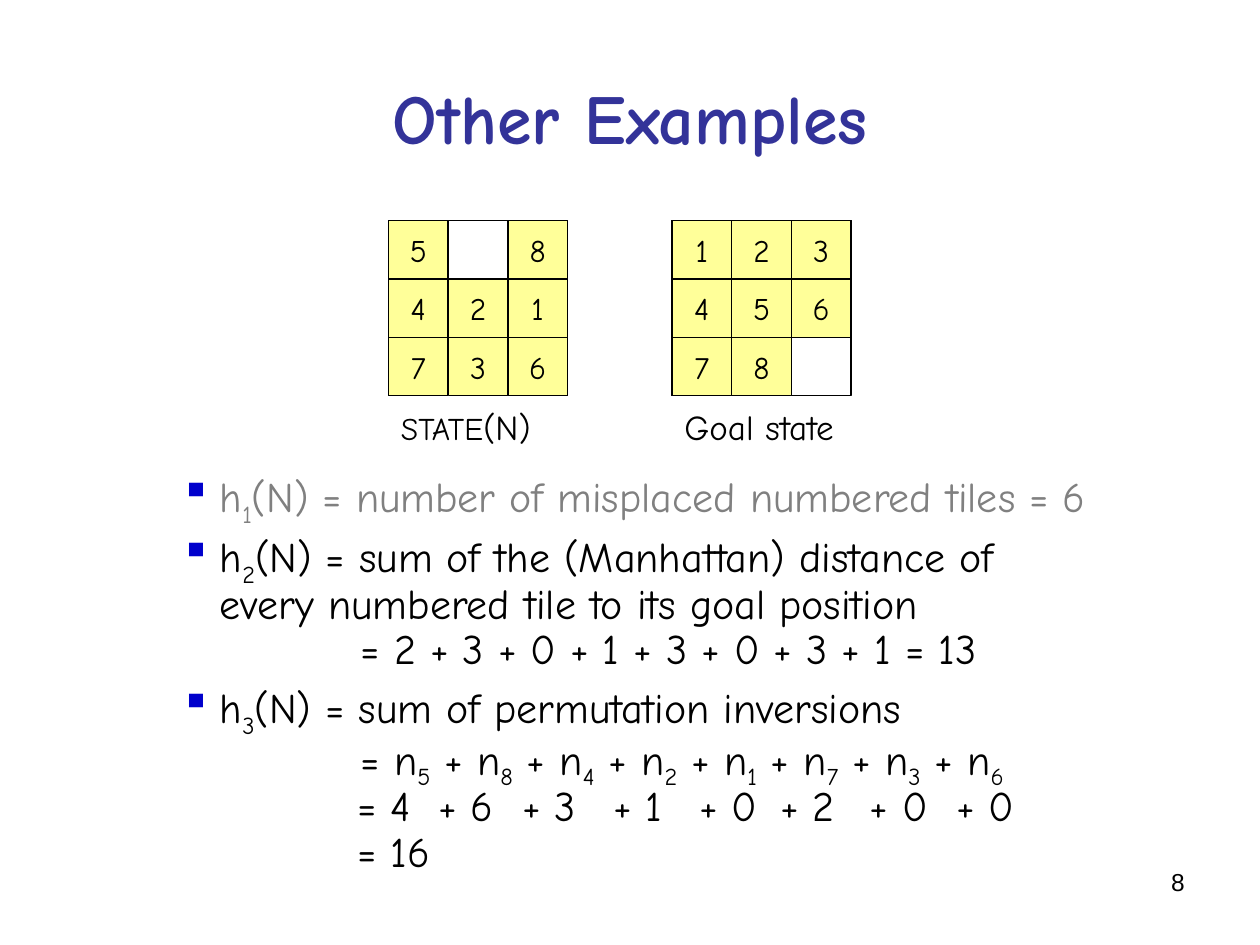
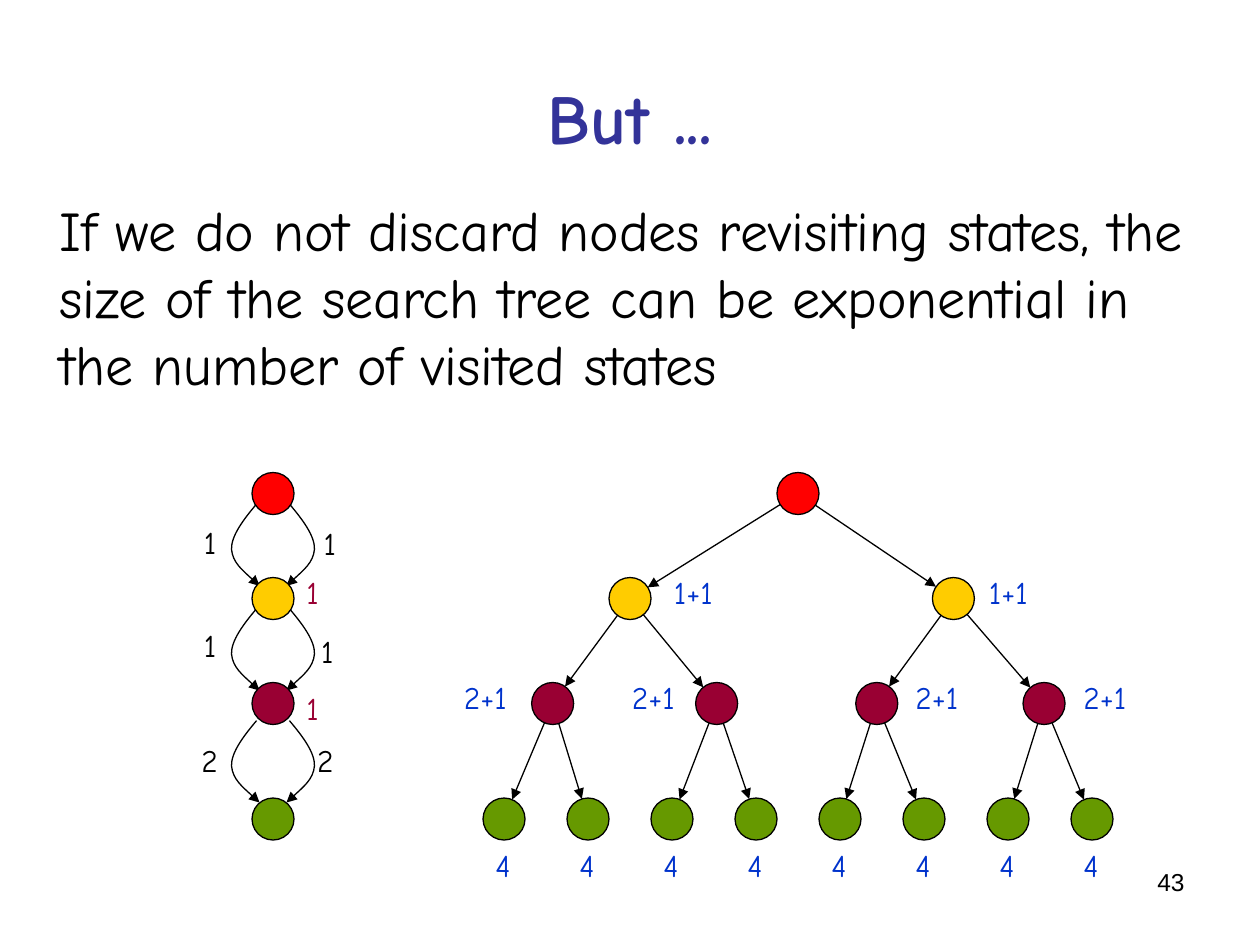
import math

import pptx
import pptx.dml.color
import pptx.enum.shapes
import pptx.enum.text
import pptx.oxml.ns
import pptx.oxml.xmlchemy
import pptx.util
from lxml import etree

Pt = pptx.util.Pt
qn = pptx.oxml.ns.qn
SHAPE = pptx.enum.shapes.MSO_SHAPE
ALIGN = pptx.enum.text.PP_ALIGN
MIDDLE = pptx.enum.text.MSO_ANCHOR.MIDDLE

COLOURS = {
    "title": "333399", "text": "000000", "faded": "808080", "bullet": "0000CC",
    "tile": "FFFF99", "count": "0033CC", "red": "FF0000", "yellow": "FFCC00",
    "maroon": "990033", "green": "669900",
}
FONT = "Comic Neue"


def add_span(para, text, size, colour="text", font=FONT):
    span = para.add_run()
    span.text = text
    span.font.name = font
    span.font.size = Pt(size)
    span.font.color.rgb = pptx.dml.color.RGBColor.from_string(COLOURS[colour])
    return span


def style_shape(shape, fill=None, arrow=False):
    """Give a shape or connector a thin black line and no shadow."""
    shape.line.width = Pt(0.75)
    shape.line.color.rgb = pptx.dml.color.RGBColor.from_string(COLOURS["text"])
    if arrow:
        etree.SubElement(shape.line._get_or_add_ln(), qn("a:tailEnd"), type="triangle")
    if hasattr(shape, "shadow"):
        shape.shadow.inherit = False
    else:
        etree.SubElement(shape._element.spPr, qn("a:effectLst"))
    if fill:
        shape.fill.solid()
        shape.fill.fore_color.rgb = pptx.dml.color.RGBColor.from_string(COLOURS[fill])
    elif hasattr(shape, "fill"):
        shape.fill.background()


deck = pptx.Presentation()
deck.slide_width, deck.slide_height = Pt(720), Pt(540)

# Title and page number of both slides
pages = []
for title_text, number in (("Other Examples", "8"), ("But ...", "43")):
    page = deck.slides.add_slide(deck.slide_layouts[5])
    title = page.shapes.title
    title.left, title.top, title.width, title.height = Pt(36), Pt(21.6), Pt(648), Pt(90)
    title.text_frame.vertical_anchor = MIDDLE
    para = title.text_frame.paragraphs[0]
    para.alignment = ALIGN.CENTER
    add_span(para, title_text, 40, "title").font.bold = True
    box = page.shapes.add_textbox(Pt(516), Pt(492), Pt(168), Pt(37.4))
    box.text_frame.word_wrap = True
    para = box.text_frame.paragraphs[0]
    para.alignment = ALIGN.RIGHT
    add_span(para, number, 14, font="Arial")
    pages.append(page)
puzzle_page, tree_page = pages

# Two 8-puzzle boards with captions
tile_width, tile_height, board_top = 34.1, 33.4, 126
boards = (
    (222, "5 8421736", (("STATE", 18), ("(N)", 20)), 106.6),
    (384, "12345678 ", (("Goal state", 20),), 110.2),
)
for board_left, tiles, caption, caption_width in boards:
    frame = puzzle_page.shapes.add_shape(
        SHAPE.RECTANGLE, Pt(board_left), Pt(board_top), Pt(3 * tile_width), Pt(3 * tile_height))
    style_shape(frame)
    for index, digit in enumerate(tiles):
        if digit == " ":
            continue
        row, column = divmod(index, 3)
        tile = puzzle_page.shapes.add_shape(
            SHAPE.RECTANGLE, Pt(board_left + column * tile_width),
            Pt(board_top + row * tile_height), Pt(tile_width), Pt(tile_height))
        style_shape(tile, "tile")
        tile.text_frame.word_wrap = False
        tile.text_frame.vertical_anchor = MIDDLE
        para = tile.text_frame.paragraphs[0]
        para.alignment = ALIGN.CENTER
        add_span(para, digit, 18)
    box = puzzle_page.shapes.add_textbox(Pt(board_left), Pt(228.2), Pt(caption_width), Pt(31))
    for text, size in caption:
        add_span(box.text_frame.paragraphs[0], text, size)

# Heuristics: an underscore lowers the next character, tabs go to the sum columns
sum_columns = (137, 183.3, 231.3, 283.3, 332.4, 378.7, 430, 479.3)
heuristics = (
    ("bullet", "faded", "h_1(N) = number of misplaced numbered tiles = 6"),
    ("bullet", "text", "h_2(N) = sum of the (Manhattan) distance of\vevery numbered tile to its goal position"),
    ("sum", "text", "= 2 + 3 + 0 + 1 + 3 + 0 + 3 + 1 = 13"),
    ("bullet", "text", "h_3(N) = sum of permutation inversions"),
    ("sum", "text", "= n_5 + n_8 + n_4 + n_2 + n_1 + n_7 + n_3 + n_6"),
    ("columns", "text", "\t= 4\t+ 6\t+ 3\t+ 1\t+ 0\t+ 2\t+ 0\t+ 0"),
    ("columns", "text", "\t= 16"),
)
box = puzzle_page.shapes.add_textbox(Pt(60), Pt(266), Pt(612), Pt(232))
box.text_frame.word_wrap = True
for index, (kind, colour, text) in enumerate(heuristics):
    para = box.text_frame.paragraphs[0] if index == 0 else box.text_frame.add_paragraph()
    para.line_spacing = 0.9
    para.space_before = Pt(4.8 if kind == "bullet" else 0)
    properties = para._p.get_or_add_pPr()
    if kind == "bullet":
        properties.set("marL", str(Pt(58.5)))
        properties.set("indent", str(Pt(-22.5)))
        bullet_colour = etree.SubElement(properties, qn("a:buClr"))
        etree.SubElement(bullet_colour, qn("a:srgbClr"), val=COLOURS["bullet"])
        etree.SubElement(properties, qn("a:buChar"), char="▪")
    elif kind == "sum":
        properties.set("marL", str(Pt(139)))
    else:
        tab_list = etree.SubElement(properties, qn("a:tabLst"))
        for stop in sum_columns:
            etree.SubElement(tab_list, qn("a:tab"), pos=str(Pt(stop)), algn="l")
    first, *rest = text.split("_")
    if first:
        add_span(para, first, 24, colour)
    for part in rest:
        add_span(para, part[0], 24, colour)._r.get_or_add_rPr().set("baseline", "-25000")
        for line_number, line in enumerate(part[1:].split("\v")):
            if line_number:
                para.add_line_break()
            if line:
                add_span(para, line, 24, colour)

# Statement about the tree size
box = tree_page.shapes.add_textbox(Pt(0), Pt(108), Pt(696), Pt(130))
box.text_frame.word_wrap = True
para = box.text_frame.paragraphs[0]
para.space_before = Pt(6.4)
para._p.get_or_add_pPr().set("marL", str(Pt(27)))
add_span(para, "If we do not discard nodes revisiting states, the size of the search tree "
         "can be exponential in the number of visited states", 32)

# State graph on the left: double curved arrows between four states
node_size, radius = 24, 12
levels = (("red", 282), ("yellow", 342), ("maroon", 402), ("green", 468))
chain_x = 156
arc = ((9.4, 0), (17, 9), (24, 18.4), (23.7, 25.9), (23, 33.5), (15, 40), (7.7, 46.8))
for arc_top in (288, 347.8, 411.8):
    for side in (-1, 1):
        points = [(Pt(chain_x + side * x), Pt(arc_top + y)) for x, y in arc]
        builder = tree_page.shapes.build_freeform(*points[0])
        builder.add_line_segments(points[1:], close=False)
        curve = builder.convert_to_shape()
        style_shape(curve, arrow=True)
        # Turn every three straight segments into one Bézier segment
        outline = next(curve._element.iter(qn("a:path")))
        segments = outline.findall(qn("a:lnTo"))
        for start in range(0, len(segments), 3):
            bezier = etree.SubElement(outline, qn("a:cubicBezTo"))
            for segment in segments[start:start + 3]:
                bezier.append(segment[0])
                outline.remove(segment)

# Search tree on the right: every node has two children in the next level
tree_xs = (
    (456,),
    (360, 544.8),
    (315.8, 409.5, 501, 596.6),
    tuple(288 + 48 * leaf for leaf in range(8)),
)
for depth, (colour, y) in enumerate(levels):
    for x in (chain_x, *tree_xs[depth]):
        node = tree_page.shapes.add_shape(
            SHAPE.OVAL, Pt(x - radius), Pt(y - radius), Pt(node_size), Pt(node_size))
        style_shape(node, colour)
    if depth == 0:
        continue
    parent_y = levels[depth - 1][1]
    for index, x in enumerate(tree_xs[depth]):
        parent_x = tree_xs[depth - 1][index // 2]
        distance = math.hypot(x - parent_x, y - parent_y)
        trim_x = radius * (x - parent_x) / distance
        trim_y = radius * (y - parent_y) / distance
        edge = tree_page.shapes.add_connector(
            pptx.enum.shapes.MSO_CONNECTOR.STRAIGHT, Pt(parent_x + trim_x),
            Pt(parent_y + trim_y), Pt(x - trim_x), Pt(y - trim_y))
        style_shape(edge, arrow=True)

# Path counts: text, colour, box width, then the corner of each box
counts = (
    ("1", "text", 22.3, ((177.8, 296), (176.4, 357.8), (109.4, 354.2), (109.4, 295.2))),
    ("2", "text", 25.2, ((174.2, 420), (108, 420))),
    ("1", "maroon", 22.3, ((168, 324), (168, 390))),
    ("1+1", "count", 39.6, ((378, 324), (558, 324))),
    ("2+1", "count", 42.5, tuple((left, 384) for left in (258, 354, 516, 612))),
    ("4", "count", 25.2, tuple((276 + 48 * leaf, 480) for leaf in range(8))),
)
for text, colour, width, corners in counts:
    for left, top in corners:
        box = tree_page.shapes.add_textbox(Pt(left), Pt(top), Pt(width), Pt(28.8))
        add_span(box.text_frame.paragraphs[0], text, 18, colour)

deck.save("out.pptx")
